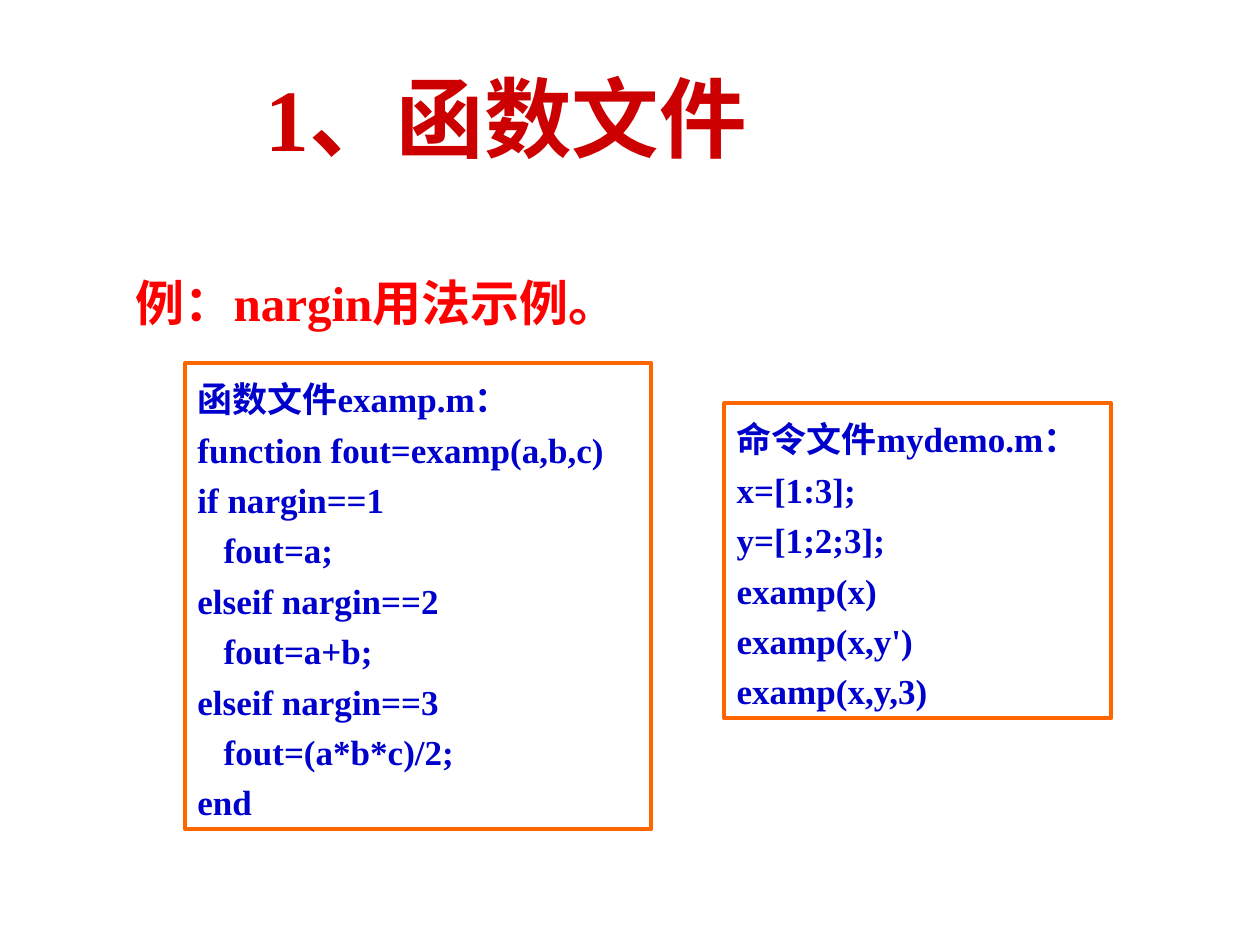
from dataclasses import dataclass

from pptx import Presentation
from pptx.dml.color import RGBColor
from pptx.enum.shapes import MSO_SHAPE as Shape
from pptx.enum.text import MSO_ANCHOR as Anchor, MSO_AUTO_SIZE as AutoSize, PP_ALIGN as Align
from pptx.util import Cm, Pt

FONT = "Times New Roman"
TITLE_RED = RGBColor(0xCC, 0x00, 0x00)
EXAMPLE_RED = RGBColor(0xFF, 0x00, 0x00)
CODE_BLUE = RGBColor(0x00, 0x00, 0xCC)
BORDER_ORANGE = RGBColor(0xFF, 0x66, 0x00)
CODE_INDENT = Cm(0.53)


@dataclass(frozen=True)
class Line:
    text: str
    depth: int = 0


@dataclass(frozen=True)
class CodeBox:
    left: float
    top: float
    width: float
    height: float
    lines: tuple[Line, ...]


CODE_BOXES = (
    CodeBox(3.73, 7.32, 9.4, 9.4, (
        Line("函数文件examp.m："),
        Line("function fout=examp(a,b,c)"),
        Line("if nargin==1"),
        Line("fout=a;", 1),
        Line("elseif nargin==2"),
        Line("fout=a+b;", 1),
        Line("elseif nargin==3"),
        Line("fout=(a*b*c)/2;", 1),
        Line("end"),
    )),
    CodeBox(14.6, 8.13, 7.8, 6.35, (
        Line("命令文件mydemo.m："),
        Line("x=[1:3];"),
        Line("y=[1;2;3];"),
        Line("examp(x)"),
        Line("examp(x,y')"),
        Line("examp(x,y,3)"),
    )),
)


def write_lines(tf, lines: tuple[Line, ...], *, size: int, color: RGBColor,
                spacing: float = 1.2, anchor=Anchor.TOP, auto_size=AutoSize.SHAPE_TO_FIT_TEXT) -> None:
    tf.word_wrap = True
    tf.auto_size = auto_size
    tf.vertical_anchor = anchor
    for i, line in enumerate(lines):
        p = tf.paragraphs[0] if i == 0 else tf.add_paragraph()
        p.alignment = Align.LEFT
        p.line_spacing = spacing
        if line.depth:
            p._p.get_or_add_pPr().set("marL", str(line.depth * CODE_INDENT))
        r = p.add_run()
        r.text = line.text
        r.font.name = FONT
        r.font.size = Pt(size)
        r.font.bold = True
        r.font.color.rgb = color


def add_code_box(s, box: CodeBox) -> None:
    sp = s.shapes.add_shape(Shape.RECTANGLE, Cm(box.left), Cm(box.top), Cm(box.width), Cm(box.height))
    sp.shadow.inherit = False
    sp.fill.background()
    sp.line.color.rgb = BORDER_ORANGE
    sp.line.width = Pt(2.25)
    write_lines(sp.text_frame, box.lines, size=20, color=CODE_BLUE)


def main() -> None:
    prs = Presentation()
    prs.slide_width, prs.slide_height = Cm(25.4), Cm(19.05)
    s = prs.slides.add_slide(prs.slide_layouts[5])

    title = s.shapes.title
    title.left, title.top, title.width, title.height = Cm(5.1), Cm(0.76), Cm(19.03), Cm(3.18)
    write_lines(title.text_frame, (Line("1、函数文件"),), size=50, color=TITLE_RED,
                spacing=1.0, anchor=Anchor.MIDDLE, auto_size=AutoSize.NONE)

    example = s.shapes.add_textbox(Cm(2.49), Cm(5.13), Cm(21.41), Cm(1.68))
    write_lines(example.text_frame, (Line("例：nargin用法示例。"),), size=28, color=EXAMPLE_RED)

    for box in CODE_BOXES:
        add_code_box(s, box)

    prs.save("out.pptx")


if __name__ == "__main__":
    main()
